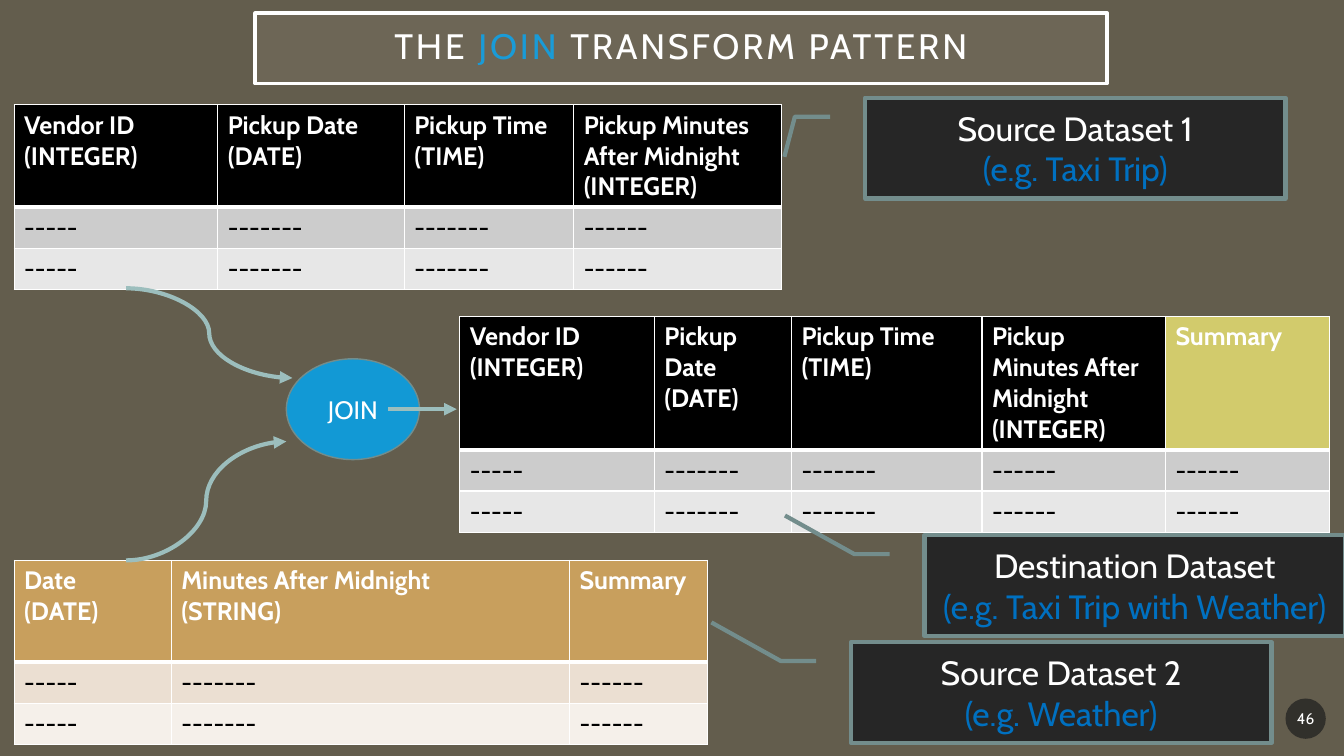
from lxml import etree
from pptx import Presentation
from pptx.dml.color import RGBColor
from pptx.enum.shapes import MSO_CONNECTOR, MSO_SHAPE
from pptx.enum.text import MSO_ANCHOR, MSO_AUTO_SIZE, PP_ALIGN
from pptx.oxml.ns import qn
from pptx.util import Inches, Pt

CENTER, MIDDLE, NO_FIT = PP_ALIGN.CENTER, MSO_ANCHOR.MIDDLE, MSO_AUTO_SIZE.NONE
OVAL, CALLOUT = MSO_SHAPE.OVAL, MSO_SHAPE.LINE_CALLOUT_2
STRAIGHT, CURVE = MSO_CONNECTOR.STRAIGHT, MSO_CONNECTOR.CURVE

FONT = "Cabin"
WHITE, BLACK = "FFFFFF", "000000"
TEAL, ARROW = "738D8C", "9CBEBD"
TAN, OLIVE = "C89F5D", "D2CB6C"
GREYS, CREAMS = ("CCCCCC", "E7E7E7"), ("EBDFD2", "F5F0EA")
BODY_ROW = 0.41

VENDOR = "Vendor ID\n(INTEGER)"
PICKUP_DATE = "Pickup Date\n(DATE)"
PICKUP_TIME = "Pickup Time\n(TIME)"
PICKUP_MINUTES = "Pickup Minutes After Midnight (INTEGER)"


def rgb(color):
    return RGBColor.from_string(color)


def set_fill(target, color, alpha=None):
    target.fill.solid()
    target.fill.fore_color.rgb = rgb(color)
    if alpha is not None:
        clr = target.fill._xPr.find(qn("a:solidFill"))[0]
        etree.SubElement(clr, qn("a:alpha"), val=str(alpha * 1000))


def set_line(target, color, width):
    target.line.color.rgb = rgb(color)
    target.line.width = Pt(width)


def add_run(p, text, size, color, bold=False):
    r = p.add_run()
    r.text = text
    r.font.name = FONT
    r.font.size = Pt(size)
    r.font.bold = bold
    r.font.color.rgb = rgb(color)
    return r


def add_lines(tf, lines, size, bold=False, align=None):
    """Write one paragraph for each (text, color) pair."""
    for i, (text, color) in enumerate(lines):
        p = tf.add_paragraph() if i else tf.paragraphs[0]
        p.alignment = align
        add_run(p, text, size, color, bold)


def add_title(s):
    title = s.shapes.title
    title.left, title.top = Inches(2.53), Inches(0.13)
    title.width, title.height = Inches(8.45), Inches(0.7)
    set_fill(title, "A7A08E", alpha=15)
    set_line(title, WHITE, 2.5)
    tf = title.text_frame
    tf.auto_size = NO_FIT
    tf.vertical_anchor = MIDDLE
    tf.margin_left = tf.margin_right = tf.margin_top = tf.margin_bottom = Inches(0.2)
    p = tf.paragraphs[0]
    p.alignment = CENTER
    p.line_spacing = 0.9
    for text, color in (("THE ", WHITE), ("JOIN", "1A9BD7"), (" TRANSFORM PATTERN", WHITE)):
        r = add_run(p, text, 25.2, color)
        r.font._element.set("spc", "200")


def add_box(s, kind, x, y, w, h, fill, lines, size, border=None, alpha=None):
    sp = s.shapes.add_shape(kind, Inches(x), Inches(y), Inches(w), Inches(h))
    sp.shadow.inherit = False
    set_fill(sp, fill, alpha)
    if border:
        set_line(sp, *border)
    else:
        sp.line.fill.background()
    tf = sp.text_frame
    tf.word_wrap = True
    tf.vertical_anchor = MIDDLE
    add_lines(tf, lines, size, align=CENTER)
    return sp


def add_callout(s, x, y, name, example, tip):
    lines = [(name, WHITE), (f"(e.g. {example})", "0070C0")]
    sp = add_box(s, CALLOUT, x, y, 4.17, 1, "262626", lines, 24, (TEAL, 3))
    for i, value in enumerate((0.188, -0.083, 0.188, -0.167, *tip)):
        sp.adjustments[i] = value


def add_arrow(s, kind, x1, y1, x2, y2):
    line = s.shapes.add_connector(kind, Inches(x1), Inches(y1), Inches(x2), Inches(y2))
    set_line(line, ARROW, 3)
    etree.SubElement(line.line._get_or_add_ln(), qn("a:tailEnd"), type="triangle")
    etree.SubElement(line._element.spPr, qn("a:effectLst"))


def set_borders(cell, bottom):
    tcPr = cell._tc.get_or_add_tcPr()
    for side, width in (("L", 1), ("R", 1), ("T", 1), ("B", bottom)):
        ln = etree.SubElement(tcPr, qn(f"a:ln{side}"), w=str(Pt(width)))
        fill = etree.SubElement(ln, qn("a:solidFill"))
        etree.SubElement(fill, qn("a:srgbClr"), val=WHITE)


def add_dataset(s, x, y, header_height, columns, bands):
    """Each column is (width, heading, heading fill, number of dashes)."""
    heights = [header_height] + [BODY_ROW] * len(bands)
    width = sum(column[0] for column in columns)
    table = s.shapes.add_table(len(heights), len(columns), Inches(x), Inches(y),
                               Inches(width), Inches(sum(heights))).table
    for row, height in zip(table.rows, heights):
        row.height = Inches(height)
    for c, (col_width, heading, head_fill, dashes) in enumerate(columns):
        table.columns[c].width = Inches(col_width)
        for r, fill in enumerate((head_fill, *bands)):
            cell = table.cell(r, c)
            is_head = r == 0
            # The thick rule sits between the header and the first body row
            set_borders(cell, 3 if is_head else 1)
            if r == 1:
                cell._tc.tcPr.find(qn("a:lnT")).set("w", str(Pt(3)))
            set_fill(cell, fill)
            text = heading if is_head else "-" * dashes
            color = WHITE if is_head else BLACK
            add_lines(cell.text_frame, [(t, color) for t in text.split("\n")], 18, is_head)


def main():
    prs = Presentation()
    prs.slide_width, prs.slide_height = Inches(13.33), Inches(7.5)
    s = prs.slides.add_slide(prs.slide_layouts[5])
    set_fill(s.background, "635D4D")
    add_title(s)

    # Slide number
    number = add_box(s, OVAL, 12.75, 6.93, 0.4, 0.4, "1D1D1D", [("46", WHITE)], 11, alpha=70)
    number.text_frame.margin_left = number.text_frame.margin_right = Inches(0.02)

    # Source datasets
    add_dataset(s, 0.14, 1.04, 1.01, [
        (2.02, VENDOR, BLACK, 5),
        (1.85, PICKUP_DATE, BLACK, 7),
        (1.68, PICKUP_TIME, BLACK, 7),
        (2.06, PICKUP_MINUTES, BLACK, 6),
    ], GREYS)
    add_dataset(s, 0.14, 5.56, 1.01, [
        (1.56, "Date\n(DATE)", TAN, 5),
        (3.95, "Minutes After Midnight\n(STRING)", TAN, 7),
        (1.37, "Summary", TAN, 6),
    ], CREAMS)

    # Join step
    add_arrow(s, CURVE, 1.25, 2.86, 2.9, 3.75)
    add_arrow(s, CURVE, 1.25, 5.56, 2.84, 4.38)
    add_box(s, OVAL, 2.84, 3.56, 1.32, 1, "1299D5", [("JOIN", WHITE)], 18, (TEAL, 1))
    add_arrow(s, STRAIGHT, 3.85, 4.06, 4.53, 4.06)

    # Destination dataset
    add_dataset(s, 4.56, 3.14, 1.31, [
        (1.93, VENDOR, BLACK, 5),
        (1.36, PICKUP_DATE, BLACK, 7),
        (1.89, PICKUP_TIME, BLACK, 7),
        (1.82, PICKUP_MINUTES, BLACK, 6),
        (1.63, "Summary", OLIVE, 6),
    ], GREYS)

    # Callouts
    low_tip = (-0.195, -0.332)
    add_callout(s, 8.58, 0.97, "Source Dataset 1", "Taxi Trip", (0.586, -0.192))
    add_callout(s, 8.44, 6.37, "Source Dataset 2", "Weather", low_tip)
    add_callout(s, 9.17, 5.31, "Destination Dataset", "Taxi Trip with Weather", low_tip)

    prs.save("out.pptx")


if __name__ == "__main__":
    main()
